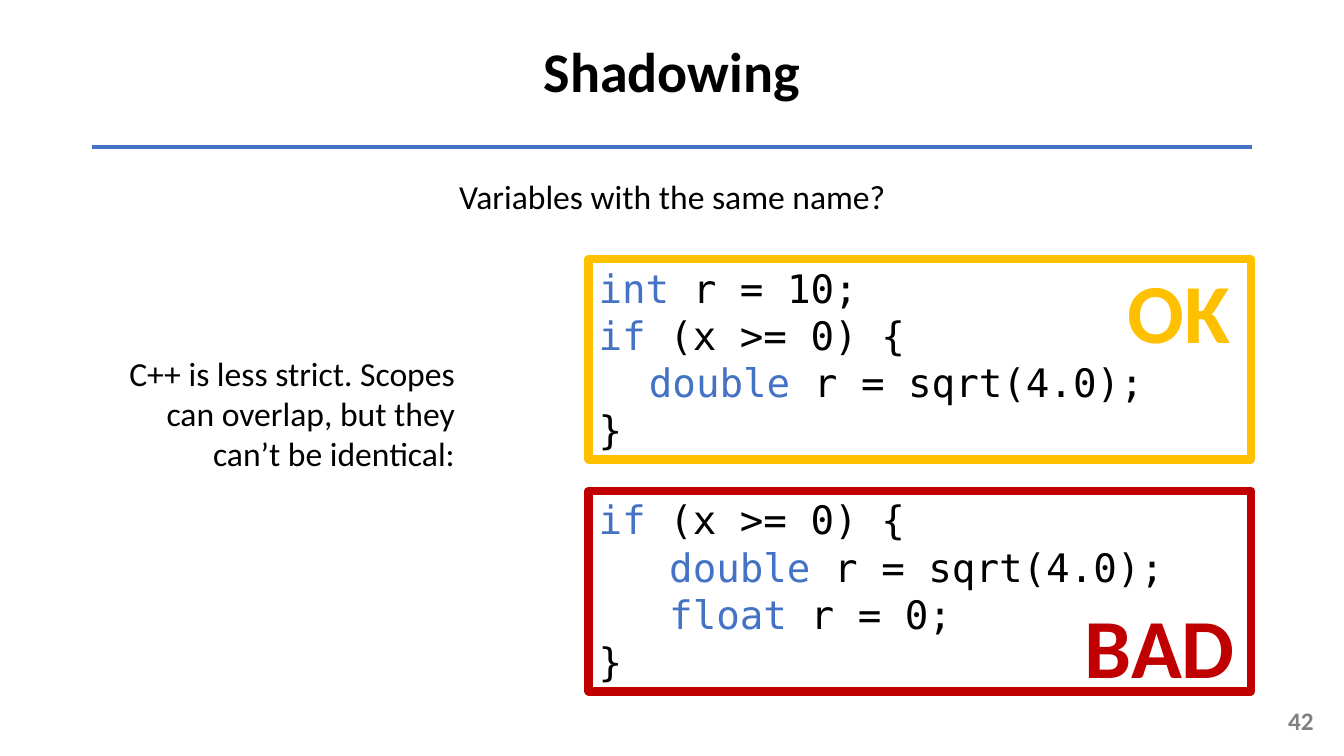
from dataclasses import dataclass

from lxml.etree import SubElement
from pptx import Presentation
from pptx.dml.color import RGBColor
from pptx.enum.shapes import MSO_CONNECTOR, MSO_SHAPE
from pptx.enum.text import MSO_ANCHOR as Anchor, PP_ALIGN as Align
from pptx.oxml.ns import qn
from pptx.slide import Slide
from pptx.text.text import TextFrame, _Paragraph as Paragraph
from pptx.util import Pt


@dataclass(frozen=True)
class Theme:
    body_font: str = "Calibri"
    code_font: str = "DejaVu Sans Mono"
    ink: str = "000000"
    accent: str = "4472C4"
    ok: str = "FFC000"
    bad: str = "C00000"
    muted: str = "808080"
    title_size: float = 40
    body_size: float = 24
    code_size: float = 28
    verdict_size: float = 60
    number_size: float = 18
    rule_width: float = 3
    frame_width: float = 6


@dataclass(frozen=True)
class Box:
    left: float
    top: float
    width: float
    height: float

    def lengths(self) -> tuple[Pt, Pt, Pt, Pt]:
        return Pt(self.left), Pt(self.top), Pt(self.width), Pt(self.height)


@dataclass(frozen=True)
class Example:
    code: str
    verdict: str
    color: str
    frame: Box
    verdict_box: Box


THEME = Theme()
KEYWORDS = {"int", "if", "double", "float"}

FRAME_LEFT, FRAME_TOP, FRAME_STEP = 420.5, 185, 165.6
FRAME_WIDTH, FRAME_HEIGHT = 473, 143.3
RULE_LEFT, RULE_RIGHT, RULE_Y = 66, 894, 105

EXAMPLES = [
    Example(
        "int r = 10;\nif (x >= 0) {\n\tdouble r = sqrt(4.0);\n}",
        "OK", THEME.ok,
        Box(FRAME_LEFT, FRAME_TOP, FRAME_WIDTH, FRAME_HEIGHT),
        Box(784, 181.5, 116, 80),
    ),
    Example(
        "if (x >= 0) {\n   double r = sqrt(4.0);\n   float r = 0;\n}",
        "BAD", THEME.bad,
        Box(FRAME_LEFT, FRAME_TOP + FRAME_STEP, FRAME_WIDTH, FRAME_HEIGHT),
        Box(757.5, 421.2, 142, 80),
    ),
]


def add_styled_run(paragraph: Paragraph, text: str, *, size: float, color: str,
                   font: str = THEME.body_font, bold: bool = False) -> None:
    run = paragraph.add_run()
    run.text = text
    run.font.name = font
    run.font.size = Pt(size)
    run.font.bold = bold
    run.font.color.rgb = RGBColor.from_string(color)


def add_text(slide: Slide, box: Box, text: str, *, size: float = THEME.body_size,
             color: str = THEME.ink, bold: bool = False, align: Align = Align.CENTER,
             anchor: Anchor = Anchor.TOP, line_spacing: float = 1.0) -> None:
    frame = slide.shapes.add_textbox(*box.lengths()).text_frame
    frame.word_wrap = True
    frame.vertical_anchor = anchor
    paragraph = frame.paragraphs[0]
    paragraph.alignment = align
    paragraph.line_spacing = line_spacing
    add_styled_run(paragraph, text, size=size, color=color, bold=bold)


def write_code(frame: TextFrame, code: str) -> None:
    """Write one paragraph a code line, colouring a keyword that starts it."""
    for index, line in enumerate(code.split("\n")):
        paragraph = frame.add_paragraph() if index else frame.paragraphs[0]
        paragraph.alignment = Align.LEFT
        statement = line.lstrip()
        indent = line[:len(line) - len(statement)]
        first_word = statement.split(" ")[0]
        keyword = first_word + " " if first_word in KEYWORDS else ""
        parts = [(indent + keyword, THEME.accent),
                 (statement[len(keyword):], THEME.ink)]
        for text, color in parts:
            if text:
                add_styled_run(paragraph, text, size=THEME.code_size, color=color,
                               font=THEME.code_font)


def add_example(slide: Slide, example: Example) -> None:
    panel = slide.shapes.add_shape(MSO_SHAPE.RECTANGLE, *example.frame.lengths())
    panel.shadow.inherit = False
    panel.fill.background()
    panel.line.color.rgb = RGBColor.from_string(example.color)
    panel.line.width = Pt(THEME.frame_width)
    panel.text_frame.word_wrap = True
    panel.text_frame.vertical_anchor = Anchor.TOP
    write_code(panel.text_frame, example.code)
    add_text(slide, example.verdict_box, example.verdict, size=THEME.verdict_size,
             color=example.color, bold=True)


def add_title_rule(slide: Slide) -> None:
    rule = slide.shapes.add_connector(MSO_CONNECTOR.STRAIGHT, Pt(RULE_LEFT), Pt(RULE_Y),
                                      Pt(RULE_RIGHT), Pt(RULE_Y))
    rule.line.color.rgb = RGBColor.from_string(THEME.accent)
    rule.line.width = Pt(THEME.rule_width)
    SubElement(rule._element.spPr, qn("a:effectLst"))


def main() -> None:
    presentation = Presentation()
    presentation.slide_width, presentation.slide_height = Pt(960), Pt(540)
    slide = presentation.slides.add_slide(presentation.slide_layouts[6])

    add_text(slide, Box(RULE_LEFT, 0.7, RULE_RIGHT - RULE_LEFT, 104.4), "Shadowing",
             size=THEME.title_size, bold=True, anchor=Anchor.MIDDLE, line_spacing=0.9)
    add_title_rule(slide)
    add_text(slide, Box(165, 122.4, 630.5, 36), "Variables with the same name?")
    add_text(slide, Box(75, 248.4, 257, 94.3),
             "C++ is less strict. Scopes can overlap, but they can’t be identical:",
             align=Align.RIGHT)
    for example in EXAMPLES:
        add_example(slide, example)
    add_text(slide, Box(729.4, 500.4, 216, 28.8), "42", size=THEME.number_size,
             color=THEME.muted, bold=True, align=Align.RIGHT, anchor=Anchor.MIDDLE)

    presentation.save("out.pptx")


if __name__ == "__main__":
    main()
